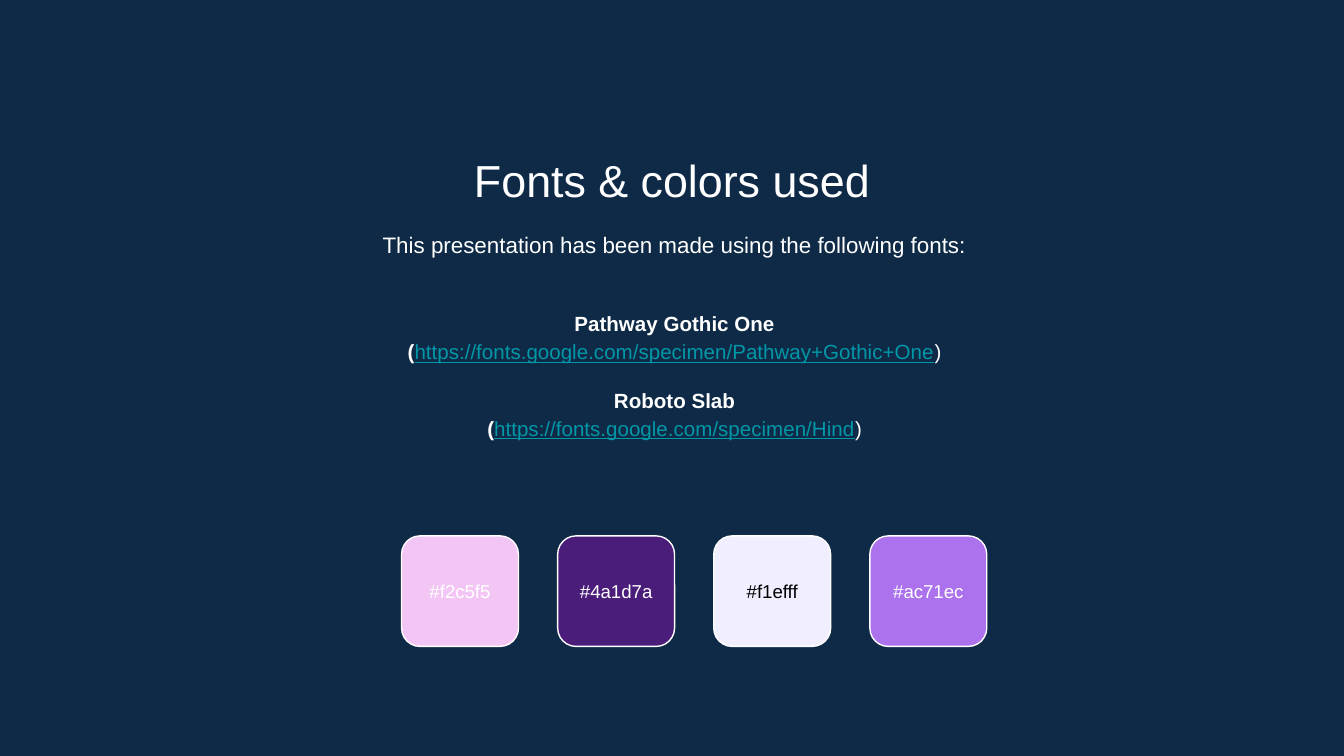
"""Build the slide that lists the fonts and colors used."""
import pptx
import pptx.dml.color
import pptx.enum.shapes
import pptx.enum.text
import pptx.util

Cm = pptx.util.Cm
Pt = pptx.util.Pt
Anchor = pptx.enum.text.MSO_ANCHOR

COLORS = {"back": "0E2A47", "white": "FFFFFF", "black": "000000", "link": "0097A7"}
TITLE = "Fonts & colors used"
INTRO = "This presentation has been made using the following fonts:"
FONTS = [
    ("Pathway Gothic One", "https://fonts.google.com/specimen/Pathway+Gothic+One"),
    ("Roboto Slab", "https://fonts.google.com/specimen/Hind"),
]
SWATCHES = [
    ("#f2c5f5", "white"),
    ("#4a1d7a", "white"),
    ("#f1efff", "black"),
    ("#ac71ec", "white"),
]
LEFT, TOP, WIDE, HIGH, STEP = 7.59, 10.13, 2.21, 2.09, 2.95


def tint(code):
    return pptx.dml.color.RGBColor.from_string(code)


def style(run, size, color="white", bold=False, line=False):
    font = run.font
    font.name = "Arial"
    font.size = Pt(size)
    font.bold = bold
    font.underline = line
    font.color.rgb = tint(COLORS[color])


def center(para, size, color="white", bold=False):
    para.alignment = pptx.enum.text.PP_ALIGN.CENTER
    for run in para.runs:
        style(run, size, color, bold)


def frame(shape, inset, anchor):
    text = shape.text_frame
    text.word_wrap = True
    text.vertical_anchor = anchor
    text.margin_left = text.margin_right = Cm(inset)
    text.margin_top = text.margin_bottom = Cm(inset)
    return text


def box(slide, left, top, high, anchor=Anchor.TOP):
    shape = slide.shapes.add_textbox(Cm(left), Cm(top), Cm(19.58), Cm(high))
    return frame(shape, 0.25, anchor)


def list_fonts(text):
    for rank, (name, link) in enumerate(FONTS):
        head = text.add_paragraph() if rank else text.paragraphs[0]
        head.text = name
        center(head, 11, bold=True)
        if rank:
            head.space_before = Pt(10.6)
        body = text.add_paragraph()
        for part in ("(", link, ")"):
            body.add_run().text = part
        center(body, 11)
        start, address, end = body.runs
        style(start, 11, bold=True)
        style(address, 11, "link", line=True)
        head.line_spacing = body.line_spacing = 1.15


def add_swatch(slide, rank, code, color):
    shape = slide.shapes.add_shape(
        pptx.enum.shapes.MSO_SHAPE.ROUNDED_RECTANGLE,
        Cm(LEFT + rank * STEP), Cm(TOP), Cm(WIDE), Cm(HIGH))
    shape.shadow.inherit = False
    shape.fill.solid()
    shape.fill.fore_color.rgb = tint(code[1:].upper())
    shape.line.color.rgb = tint(COLORS["white"])
    shape.line.width = Pt(0.75)
    text = frame(shape, 0, Anchor.MIDDLE)
    text.text = code
    center(text.paragraphs[0], 10, color)


def main():
    deck = pptx.Presentation()
    deck.slide_width, deck.slide_height = Cm(25.4), Cm(14.29)
    slide = deck.slides.add_slide(deck.slide_layouts[6])
    slide.background.fill.solid()
    slide.background.fill.fore_color.rgb = tint(COLORS["back"])

    title = box(slide, 2.91, 2.64, 1.35)
    title.text = TITLE
    center(title.paragraphs[0], 24)

    intro = box(slide, 2.96, 4.04, 1.22)
    intro.text = INTRO
    center(intro.paragraphs[0], 12)
    intro.paragraphs[0].line_spacing = 1.15

    list_fonts(box(slide, 2.96, 5.33, 3.48, Anchor.MIDDLE))
    for rank, (code, color) in enumerate(SWATCHES):
        add_swatch(slide, rank, code, color)
    deck.save("out.pptx")


if __name__ == "__main__":
    main()
